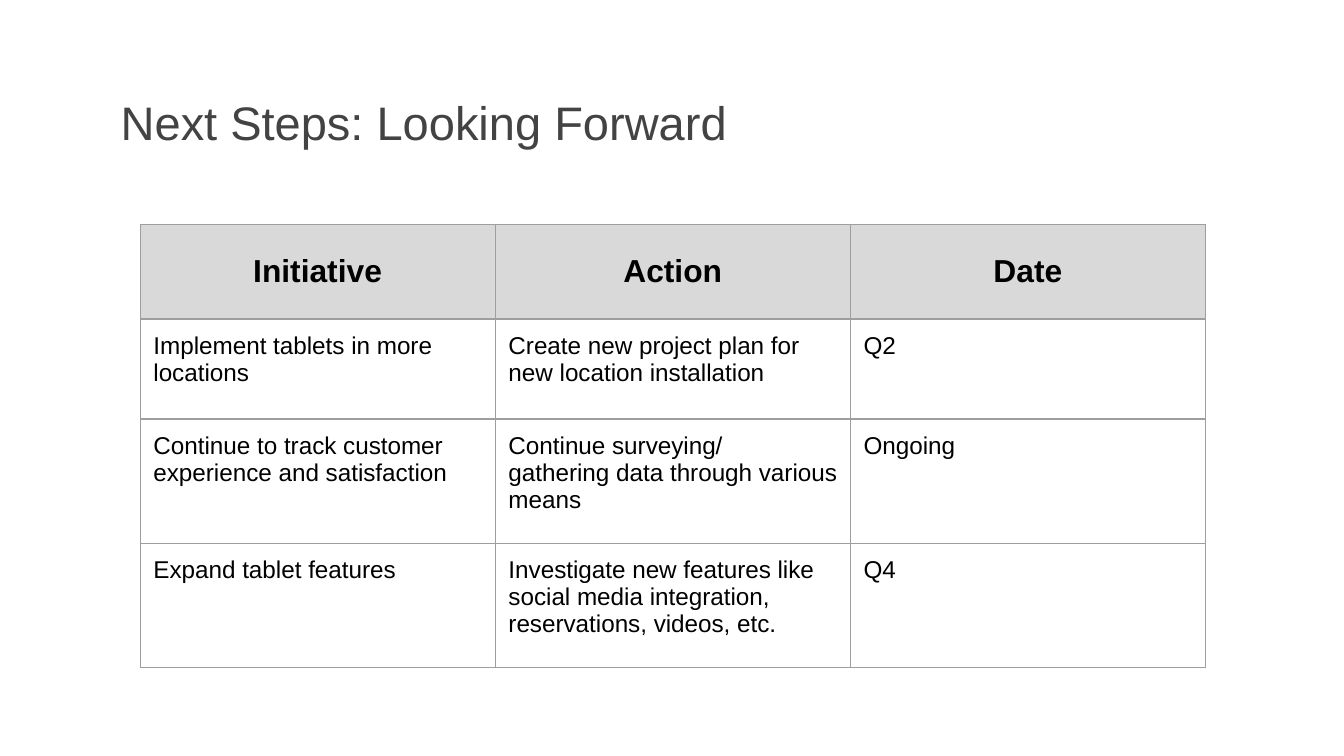
import pptx
import pptx.dml.color
import pptx.enum.text
import pptx.oxml
import pptx.oxml.ns
import pptx.util

Cm = pptx.util.Cm
Align = pptx.enum.text.PP_ALIGN
Anchor = pptx.enum.text.MSO_ANCHOR
COLORS = {"title": "434343", "text": "000000", "header": "D9D9D9", "border": "9E9E9E"}
INSET = Cm(0.25)


def write_text(frame, text, size, color, bold=False, align=Align.LEFT):
    frame.text = text
    for paragraph in frame.paragraphs:
        paragraph.alignment = align
        font = paragraph.runs[0].font
        font.name = "Arial"
        font.size = pptx.util.Pt(size)
        font.bold = bold
        font.color.rgb = pptx.dml.color.RGBColor.from_string(COLORS[color])


def add_borders(cell):
    properties = cell._tc.get_or_add_tcPr()
    for side in ("lnL", "lnR", "lnT", "lnB"):
        properties.append(pptx.oxml.parse_xml(
            f'<a:{side} {pptx.oxml.ns.nsdecls("a")} w="{pptx.util.Pt(0.75)}">'
            f'<a:solidFill><a:srgbClr val="{COLORS["border"]}"/></a:solidFill></a:{side}>'))


presentation = pptx.Presentation()
presentation.slide_width = Cm(25.4)
presentation.slide_height = Cm(14.29)
slide = presentation.slides.add_slide(presentation.slide_layouts[5])

title = slide.shapes.title
title.left, title.top, title.width, title.height = Cm(2.03), Cm(1.52), Cm(21.36), Cm(1.5)
frame = title.text_frame
frame.margin_left = frame.margin_right = frame.margin_top = frame.margin_bottom = INSET
frame.vertical_anchor = Anchor.TOP
frame.auto_size = pptx.enum.text.MSO_AUTO_SIZE.NONE
write_text(frame, "Next Steps: Looking Forward", size=25.2, color="title")

rows = [
    ("Initiative", "Action", "Date"),
    ("Implement tablets in more locations",
     "Create new project plan for new location installation", "Q2"),
    ("Continue to track customer experience and satisfaction",
     "Continue surveying/\ngathering data through various means", "Ongoing"),
    ("Expand tablet features",
     "Investigate new features like social media integration, reservations, videos, etc.", "Q4"),
]
row_heights = [1.79, 1.89, 2.35, 2.35]
column_width = 6.71

table = slide.shapes.add_table(
    len(rows), 3, Cm(2.65), Cm(4.24), Cm(3 * column_width), Cm(sum(row_heights))).table
table.horz_banding = False
for column in table.columns:
    column.width = Cm(column_width)

for row_index, texts in enumerate(rows):
    table.rows[row_index].height = Cm(row_heights[row_index])
    is_header = row_index == 0
    for column_index, text in enumerate(texts):
        cell = table.cell(row_index, column_index)
        cell.margin_left = cell.margin_right = cell.margin_top = cell.margin_bottom = INSET
        cell.vertical_anchor = Anchor.MIDDLE if is_header else Anchor.TOP
        add_borders(cell)
        if is_header:
            cell.fill.solid()
            cell.fill.fore_color.rgb = pptx.dml.color.RGBColor.from_string(COLORS["header"])
        else:
            cell.fill.background()
        write_text(cell.text_frame, text, size=17 if is_header else 13, color="text",
                   bold=is_header, align=Align.CENTER if is_header else Align.LEFT)

presentation.save("out.pptx")
